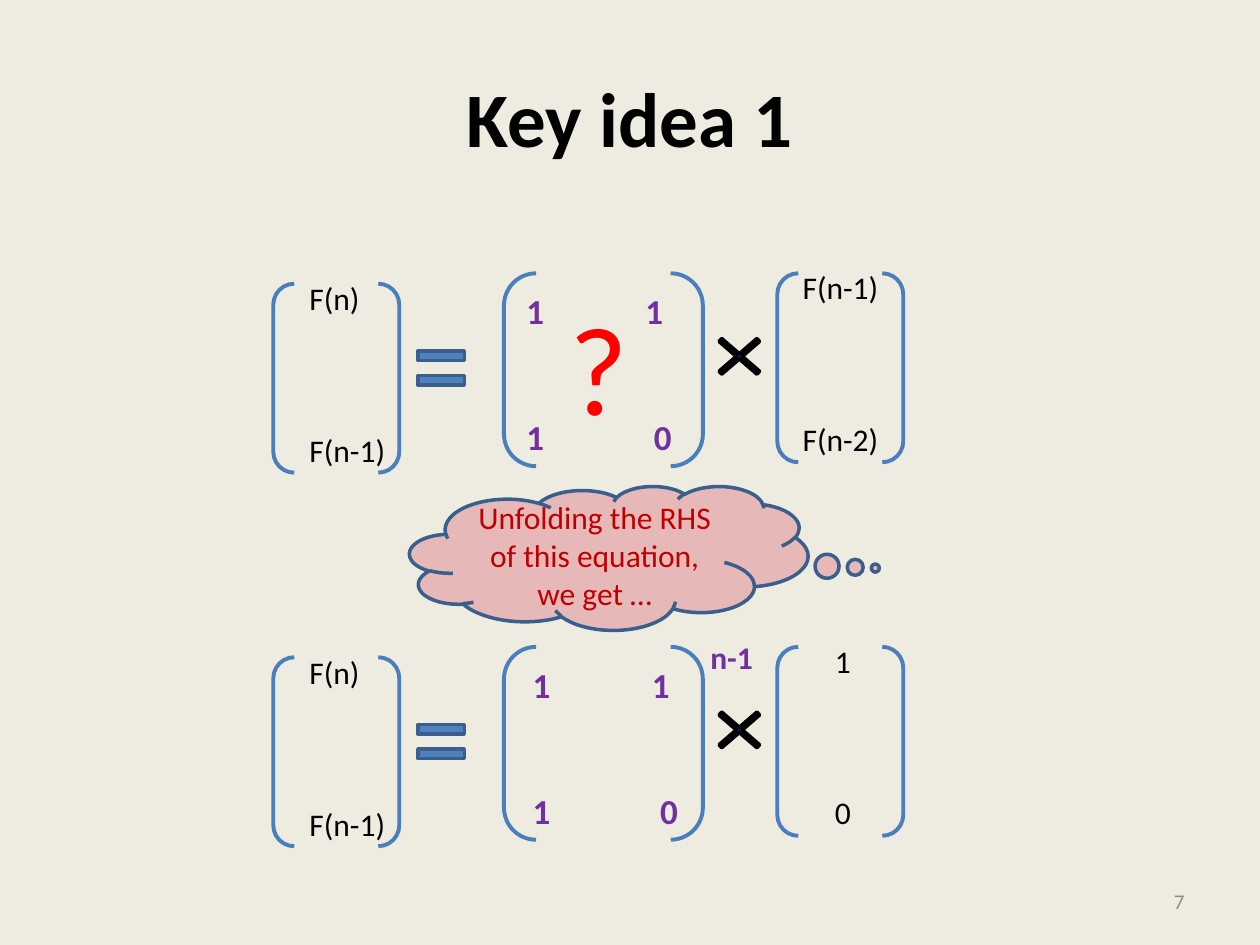
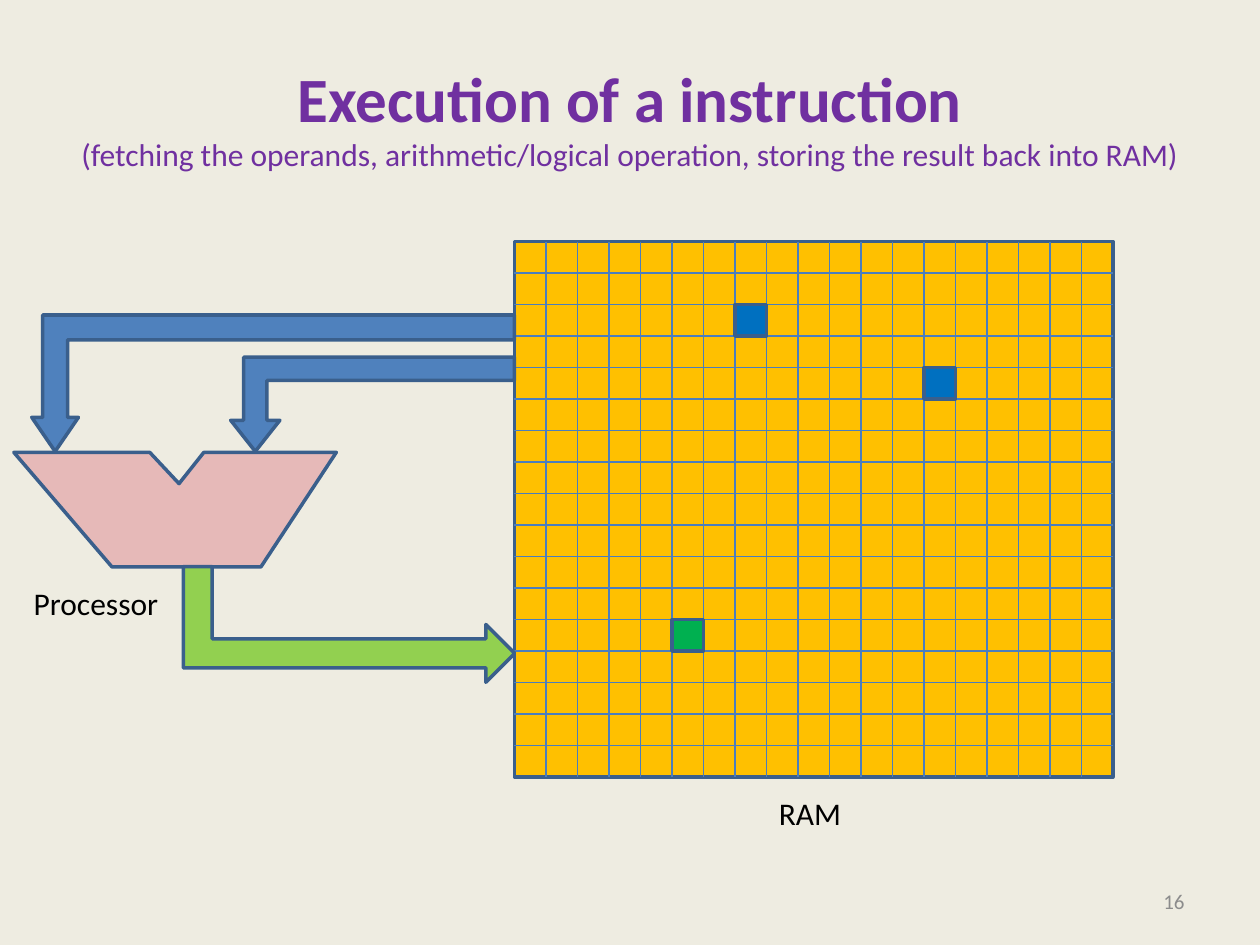
from pptx import Presentation
from pptx import util as u
from pptx.dml.color import RGBColor
from pptx.enum import shapes, text
from pptx.oxml.ns import qn
from lxml import etree

Cm, Pt = u.Cm, u.Pt
KIND = shapes.MSO_SHAPE
ALIGN = text.PP_ALIGN
MID = text.MSO_ANCHOR.MIDDLE

FONT = "Calibri"
PAPER, BLACK, GREY = "EEECE1", "000000", "8C8C8C"
BLUE, EDGE, RULE = "4F81BD", "3A5F8C", "4B7EBC"
PINK, PURPLE = "E6B9B8", "7030A0"


def tint(code):
    return RGBColor.from_string(code)


class Deck:
    def __init__(self):
        self.prs = Presentation()
        self.prs.slide_width, self.prs.slide_height = Cm(25.4), Cm(19.05)
        fill = self.prs.slide_master.background.fill
        fill.solid()
        fill.fore_color.rgb = tint(PAPER)
        self.slide = None

    def start(self, head, size, color, number, sub=None):
        """Add a slide with its title, optional small subtitle and number."""
        self.slide = self.prs.slides.add_slide(self.prs.slide_layouts[5])
        title = self.slide.shapes.title
        title.left, title.top, title.width, title.height = map(
            Cm, (1.27, 0.76, 22.86, 3.18))
        frame = title.text_frame
        frame.auto_size = text.MSO_AUTO_SIZE.NONE
        frame.vertical_anchor = MID
        para = frame.paragraphs[0]
        para.add_run().text = head
        self.style(para, size, color, True, ALIGN.CENTER)
        if sub:
            para.add_line_break()
            run = para.add_run()
            run.text = sub
            run.font.size, run.font.bold = Pt(18), False
        self.label([str(number)], 18.21, 17.65, 5.92, 1.02, 12, GREY,
                   align=ALIGN.RIGHT, anchor=MID, right=0.25)

    def style(self, para, size, color, bold=False, align=ALIGN.LEFT):
        para.alignment = align
        font = para.font
        font.name, font.size, font.bold = FONT, Pt(size), bold
        font.color.rgb = tint(color)

    def label(self, rows, x, y, w, h, size=18, color=BLACK, bold=False,
              align=ALIGN.LEFT, anchor=text.MSO_ANCHOR.TOP, gap=0,
              tabs=(), left=0.25, right=0):
        """Write one paragraph per row; gap parts them, tabs set a column stop per row."""
        box = self.slide.shapes.add_textbox(Cm(x), Cm(y), Cm(w), Cm(h))
        frame = box.text_frame
        frame.word_wrap = True
        frame.vertical_anchor = anchor
        frame.margin_left, frame.margin_right = Cm(left), Cm(right)
        for i, row in enumerate(rows):
            para = frame.add_paragraph() if i else frame.paragraphs[0]
            para.text = row
            if tabs:
                stops = etree.SubElement(para._p.get_or_add_pPr(), qn("a:tabLst"))
                etree.SubElement(stops, qn("a:tab"), pos=str(Cm(tabs[i])), algn="l")
            if i:
                para.space_before = Pt(gap)
            self.style(para, size, color, bold, align)

    def paint(self, item, fill, line, width):
        item.shadow.inherit = False
        if fill:
            item.fill.solid()
            item.fill.fore_color.rgb = tint(fill)
        else:
            item.fill.background()
        item.line.color.rgb = tint(line)
        item.line.width = Pt(width)
        return item

    def shape(self, kind, x, y, w, h, fill=None, line=EDGE, width=2, adj=(), turn=0):
        item = self.slide.shapes.add_shape(kind, Cm(x), Cm(y), Cm(w), Cm(h))
        for i, value in enumerate(adj):
            item.adjustments[i] = value
        item.rotation = turn
        return self.paint(item, fill, line, width)

    def bracket(self, x, y, w, h):
        self.shape(KIND.DOUBLE_BRACKET, x, y, w, h, line=RULE, width=2.25)

    def outline(self, points, fill):
        spots = [(Cm(x), Cm(y)) for x, y in points]
        pen = self.slide.shapes.build_freeform(*spots[0], scale=1.0)
        pen.add_line_segments(spots[1:], close=True)
        self.paint(pen.convert_to_shape(), fill, EDGE, 2)

    def line(self, x1, y1, x2, y2):
        item = self.slide.shapes.add_connector(
            shapes.MSO_CONNECTOR.STRAIGHT, Cm(x1), Cm(y1), Cm(x2), Cm(y2))
        item.line.color.rgb = tint(RULE)
        item.line.width = Pt(0.75)
        etree.SubElement(item._element.spPr, qn("a:effectLst"))


def equate(deck, y, vector, inset, shift):
    """Draw F-vector = matrix × vector, with the matrix bracket's top at y."""
    deck.label(["F(n)", "F(n-1)"], 5.99, y, 2.06, 4.11, gap=65)
    deck.bracket(5.51, y + 0.21, 2.54, 3.81)
    deck.shape(KIND.MATH_EQUAL, 8.26, y + 0.64, 1.27, 2.54, BLUE, adj=(0.077, 0.118))
    deck.bracket(10.16, y, 4.01, 3.89)
    deck.label(["1\t1", "1\t0"], 10.36 + shift, y + 0.21, 3.48, 3.68, 20, PURPLE,
               True, gap=48, tabs=(2.4, 2.57))
    deck.shape(KIND.MATH_MULTIPLY, 14.17, y + 1.04, 1.47, 1.27, "002060", BLACK,
               adj=(0.064,))
    deck.bracket(15.67, y, 2.54, 3.81)
    deck.label(vector, 15.93, y - 0.23, 2.06, 4.11, gap=65, left=inset)


def idea(deck):
    deck.start("Key idea 1", 44, BLACK, 7)
    equate(deck, 5.51, ["F(n-1)", "F(n-2)"], 0.25, 0)
    equate(deck, 13.04, ["1", "0"], 0.9, 0.13)
    deck.label(["n-1"], 14.07, 12.73, 1.37, 1.02, 18, PURPLE, True)
    deck.label(["?"], 11.23, 5.72, 1.7, 3.33, 72, "FF0000")
    cloud = deck.shape(KIND.CLOUD_CALLOUT, 8.26, 9.8, 8.03, 2.9, PINK, adj=(0.669, 0.07))
    frame = cloud.text_frame
    frame.text = "Unfolding the RHS of this equation, we get …"
    frame.vertical_anchor = MID
    deck.style(frame.paragraphs[0], 18, "C00000", align=ALIGN.CENTER)


def machine(deck):
    deck.start("Execution of a instruction", 36, PURPLE, 16,
               "(fetching the operands, arithmetic/logical operation, "
               "storing the result back into RAM)")
    left, top, cell, cols, rows = 10.37, 4.87, 2.54 / 4, 19, 17
    wide, high = cols * cell, rows * cell
    deck.shape(KIND.RECTANGLE, left, top, wide, high, "FFC000")
    for i in range(1, cols):
        x = left + i * cell
        deck.line(x, top, x, top + high)
    for i in range(1, rows):
        y = top + i * cell
        deck.line(left, y, left + wide, y)
    deck.label(["RAM"], 15.45, 15.88, 1.78, 1.02)
    deck.label(["Processor"], 0.43, 11.64, 3.05, 1.02)

    deck.outline([(0.28, 9.12), (3.02, 9.12), (3.61, 9.75), (4.11, 9.12),
                  (6.78, 9.12), (5.26, 11.43), (2.26, 11.43)], PINK)
    bent = KIND.BENT_UP_ARROW
    deck.shape(bent, 0.64, 6.35, 9.73, 2.75, BLUE, adj=(0.182, 0.171, 0.25), turn=180)
    deck.shape(bent, 4.65, 7.2, 5.72, 1.9, BLUE, adj=(0.247, 0.261, 0.331), turn=180)
    deck.shape(bent, 5.87, 9.25, 2.33, 6.68, "92D050", turn=90)
    for col, row, fill in [(7, 2, "0070C0"), (13, 4, "0070C0"), (5, 12, "00B050")]:
        deck.shape(KIND.RECTANGLE, left + col * cell, top + row * cell, cell, cell, fill)


def main():
    deck = Deck()
    idea(deck)
    machine(deck)
    deck.prs.save("out.pptx")


if __name__ == "__main__":
    main()
